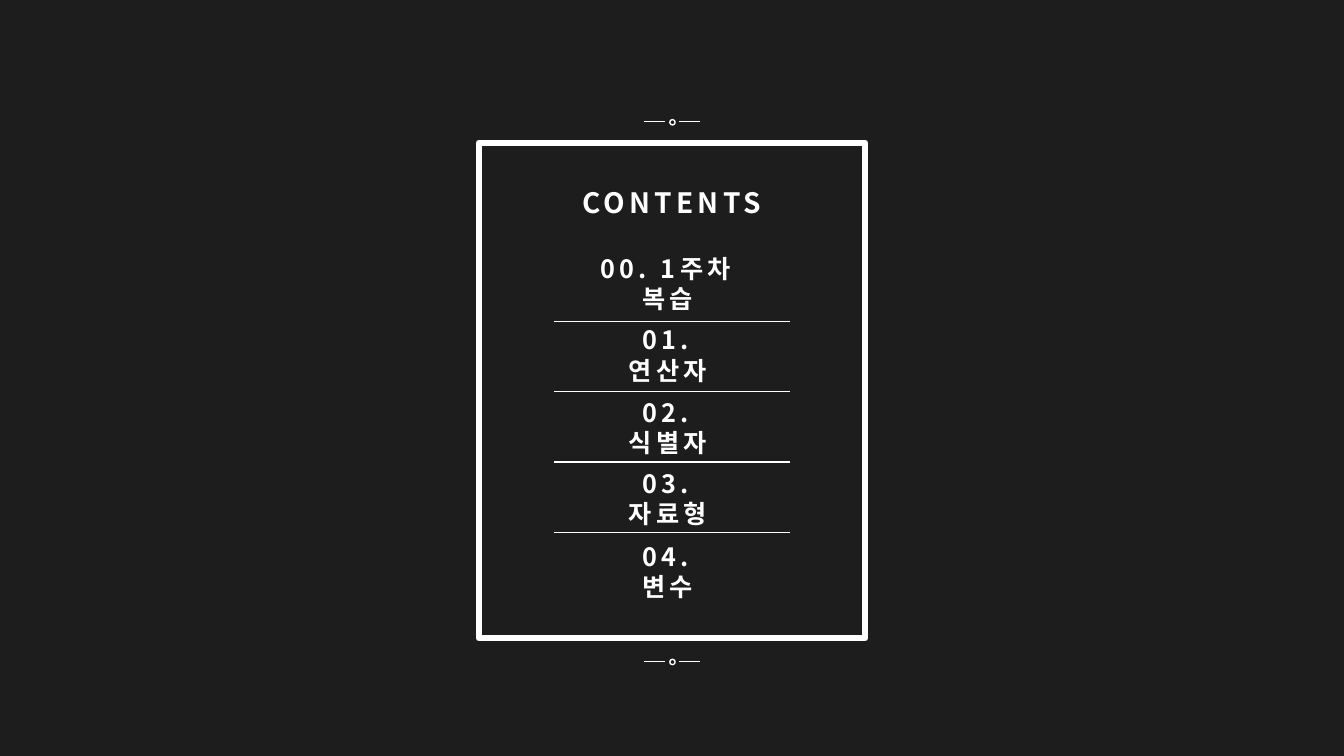
from lxml import etree
from pptx import Presentation
from pptx import util as u
from pptx.dml.color import RGBColor
from pptx.enum import shapes, text
from pptx.oxml import ns

WHITE = RGBColor(0xFF, 0xFF, 0xFF)
CHARCOAL = RGBColor(0x1D, 0x1D, 0x1D)
FONT = "Noto Sans CJK KR"
PX = 9525
WIDTH, HEIGHT = 1280, 720
CENTRE = WIDTH // 2

ITEMS = [
    ("00. 1주차 복습", 180),
    ("01. 연산자", 130),
    ("02. 식별자", 130),
    ("03. 자료형", 130),
    ("04. 변수", 110),
]


class ContentsSlide:
    def __init__(self, slide):
        self.slide = slide
        slide.background.fill.solid()
        slide.background.fill.fore_color.rgb = CHARCOAL

    def outline(self, parent, kind, x, y, w, h, weight=1):
        shape = parent.add_shape(kind, x * PX, y * PX, w * PX, h * PX)
        shape.shadow.inherit = False
        shape.fill.background()
        shape.line.color.rgb = WHITE
        shape.line.width = u.Pt(weight)

    def rule(self, parent, x1, x2, y):
        line = parent.add_connector(
            shapes.MSO_CONNECTOR.STRAIGHT, x1 * PX, y * PX, x2 * PX, y * PX)
        line.line.color.rgb = WHITE
        line.line.width = u.Pt(1)
        etree.SubElement(line._element.spPr, ns.qn("a:effectLst"))

    def ornament(self, y):
        """Draw a small ring between two dashes, centred at height y."""
        group = self.slide.shapes.add_group_shape().shapes
        self.outline(group, shapes.MSO_SHAPE.OVAL, CENTRE - 2, y - 2, 5, 5)
        self.rule(group, CENTRE + 7, CENTRE + 27, y)
        self.rule(group, CENTRE - 27, CENTRE - 7, y)

    def letter(self, shape, wording, size):
        """Set bold, widely spaced, centred text."""
        frame = shape.text_frame
        frame.text = wording
        frame.word_wrap = True
        frame.auto_size = text.MSO_AUTO_SIZE.NONE
        frame.vertical_anchor = text.MSO_ANCHOR.MIDDLE
        paragraph = frame.paragraphs[0]
        paragraph.alignment = text.PP_ALIGN.CENTER
        paragraph.line_spacing = 1.0
        font = paragraph.font
        font.name, font.size, font.bold = FONT, u.Pt(size), True
        font.color.rgb = WHITE
        properties = paragraph.runs[0].font._element
        properties.set("spc", "300")
        etree.SubElement(properties, ns.qn("a:ea"), typeface=FONT)

    def title(self, wording, x, y, w, h):
        heading = self.slide.shapes.title
        heading.left, heading.top = x * PX, y * PX
        heading.width, heading.height = w * PX, h * PX
        self.letter(heading, wording, 20)

    def item(self, wording, x, y, w, h):
        box = self.slide.shapes.add_textbox(x * PX, y * PX, w * PX, h * PX)
        self.letter(box, wording, 18)


def main():
    deck = Presentation()
    deck.slide_width, deck.slide_height = WIDTH * PX, HEIGHT * PX
    contents = ContentsSlide(deck.slides.add_slide(deck.slide_layouts[5]))
    on_slide = contents.slide.shapes

    contents.outline(on_slide, shapes.MSO_SHAPE.RECTANGLE, 456, 136, 368, 472, 4.5)
    for y in (116, 630):
        contents.ornament(y)
    contents.title("CONTENTS", CENTRE - 120, 172, 240, 42)

    for row in range(len(ITEMS) - 1):
        contents.rule(on_slide, 528, 752, 306 + 67 * row)
    for row, (wording, width) in enumerate(ITEMS):
        contents.item(wording, 636 - width // 2, 236 + 137 * row // 2, width, 68)

    deck.save("out.pptx")


if __name__ == "__main__":
    main()
